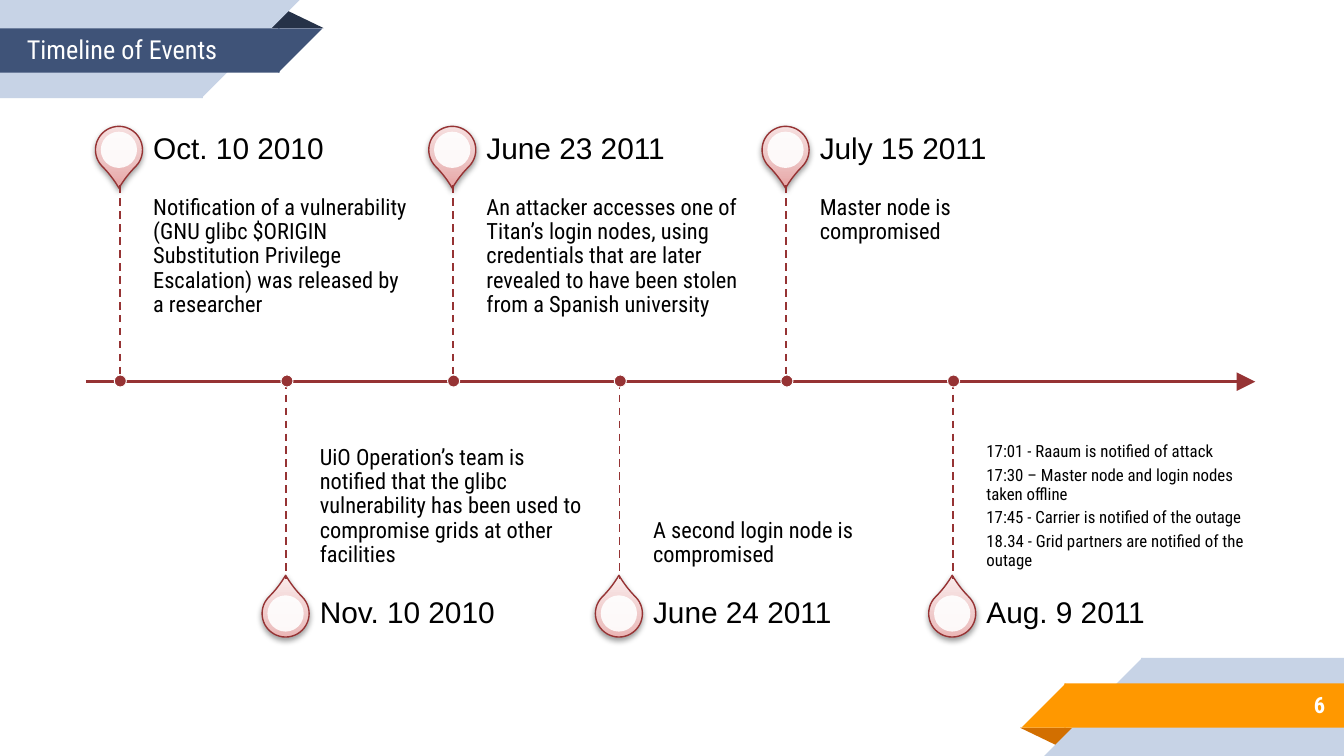
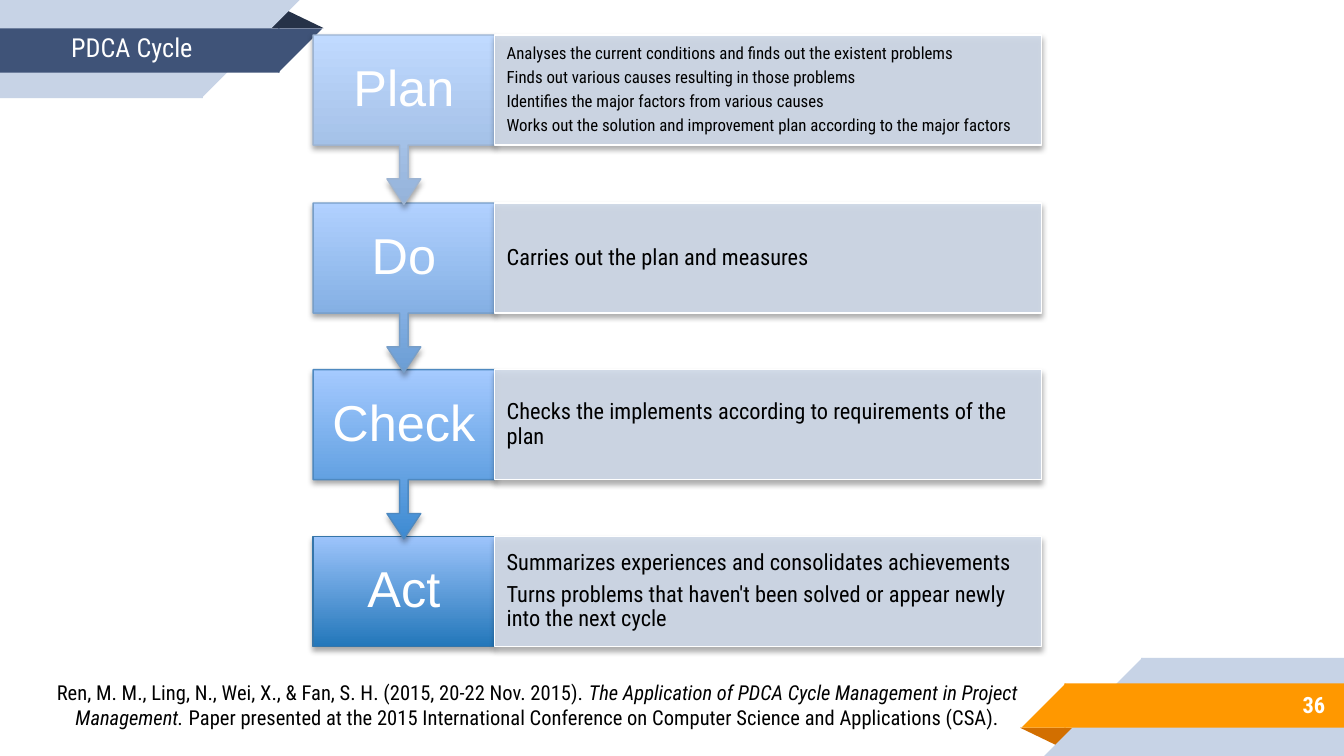
from dataclasses import dataclass
from math import ceil

from lxml.etree import SubElement
from pptx import Presentation
from pptx.dml.color import RGBColor
from pptx.enum.dml import MSO_LINE
from pptx.enum.shapes import MSO_CONNECTOR, MSO_SHAPE as SHAPE
from pptx.enum.text import MSO_ANCHOR as ANCHOR, MSO_AUTO_SIZE, PP_ALIGN as ALIGN
from pptx.oxml.ns import qn
from pptx.util import Pt

PX = 9144  # EMU in one px: 100 px to the inch
WIDTH, HEIGHT = 1000, 562.5  # 16:9


@dataclass(frozen=True)
class Theme:
    body_font: str = "Roboto Condensed"
    head_font: str = "Arial"
    white: str = "FFFFFF"
    black: str = "000000"
    pale: str = "C7D3E6"
    navy: str = "3F5378"
    navy_fold: str = "263248"
    orange: str = "FF9800"
    orange_fold: str = "D26F00"
    red: str = "963334"
    panel: str = "CED8E7"
    pin: tuple = ((0, "E8AAAA"), (35, "EDC4C4"), (100, "F9E8E8"))
    title: int = 14
    date: int = 16
    step: int = 27
    body: int = 12
    small: int = 9
    source: int = 11


T = Theme()

# Content
TIMELINE_TITLE, TIMELINE_NUMBER = "Timeline of Events", "6"
EVENTS = [
    ("Oct. 10 2010", ["Notification of a vulnerability (GNU glibc $ORIGIN Substitution "
                      "Privilege Escalation) was released by a researcher"]),
    ("Nov. 10 2010", ["UiO Operation’s team is notified that the glibc vulnerability "
                      "has been used to compromise grids at other facilities"]),
    ("June 23 2011", ["An attacker accesses one of Titan’s login nodes, using credentials "
                      "that are later revealed to have been stolen from a Spanish university"]),
    ("June 24 2011", ["A second login node is compromised"]),
    ("July 15 2011", ["Master node is compromised"]),
    ("Aug. 9 2011", ["17:01 - Raaum is notified of attack",
                     "17:30 – Master node and login nodes taken offline",
                     "17:45 - Carrier is notified of the outage",
                     "18.34 - Grid partners are notified of the outage"]),
]

PDCA_TITLE, PDCA_NUMBER = "PDCA Cycle", "36"
# name, details, bottom colour, top colour, outline
STEPS = [
    ("Plan", ["Analyses the current conditions and finds out the existent problems",
              "Finds out various causes resulting in those problems",
              "Identifies the major factors from various causes",
              "Works out the solution and improvement plan according to the major factors"],
     "95B3DA", "C0DAFF", "9DB4D2"),
    ("Do", ["Carries out the plan and measures"], "6B9DD4", "B1D1FF", "779EC8"),
    ("Check", ["Checks the implements according to requirements of the plan"],
     "3D8AD1", "A5CAFF", "4E89C0"),
    ("Act", ["Summarizes experiences and consolidates achievements",
             "Turns problems that haven't been solved or appear newly into the next cycle"],
     "2377BA", "9DC4FB", "3575A9"),
]
# text, italic
SOURCE = [
    ("Ren, M. M., Ling, N., Wei, X., & Fan, S. H. (2015, 20-22 Nov. 2015). ", False),
    ("The Application of PDCA Cycle Management in Project Management.", True),
    (" Paper presented at the 2015 International Conference on Computer Science "
     "and Applications (CSA).", False),
]

# Upper left band: shape, box, colour role, turn; the lower right band is its half turn
BAND = [
    (SHAPE.ISOSCELES_TRIANGLE, (198, 7, 43, 14), "fold", 0),
    (SHAPE.RECTANGLE, (0, 0, 151, 73), "pale", 180),
    (SHAPE.RIGHT_TRIANGLE, (150, 0, 73, 73), "pale", 180),
    (SHAPE.RECTANGLE, (0, 21, 208, 33), "main", 180),
    (SHAPE.RIGHT_TRIANGLE, (207, 21, 33, 33), "main", 180),
]


# Helpers
def emu(*lengths):
    return [int(n * PX) for n in lengths]


def rgb(color):
    return RGBColor.from_string(color)


def add_shape(shapes, kind, box, fill, line=None, weight=0.75, rotation=0, adj=(), alpha=None):
    sp = shapes.add_shape(kind, *emu(*box))
    sp.rotation = rotation
    sp.shadow.inherit = False
    for i, value in enumerate(adj):
        sp.adjustments[i] = value
    if isinstance(fill, str):
        sp.fill.solid()
        sp.fill.fore_color.rgb = rgb(fill)
        if alpha:
            color = sp.element.spPr.find(qn("a:solidFill"))[0]
            SubElement(color, qn("a:alpha"), val=str(alpha * 1000))
    else:
        fill_upward(sp, fill)
    if line:
        sp.line.color.rgb = rgb(line)
        sp.line.width = Pt(weight)
    else:
        sp.line.fill.background()
    return sp


def fill_upward(sp, stops):
    sp.fill.gradient()
    sp.fill.gradient_angle = 90
    grad = sp.element.spPr.find(qn("a:gradFill"))
    grad.set("rotWithShape", "0")
    gs_list = grad.find(qn("a:gsLst"))
    for gs in list(gs_list):
        gs_list.remove(gs)
    for pos, color in stops:
        gs = SubElement(gs_list, qn("a:gs"), pos=str(pos * 1000))
        SubElement(gs, qn("a:srgbClr"), val=color)


def add_shadow(sp, alpha, distance):
    effects = sp.element.spPr.find(qn("a:effectLst"))
    shadow = SubElement(effects, qn("a:outerShdw"), blurRad=str(Pt(3.1)), dist=str(Pt(distance)),
                        dir="5400000", algn="ctr", rotWithShape="0")
    color = SubElement(shadow, qn("a:srgbClr"), val=T.black)
    SubElement(color, qn("a:alpha"), val=str(alpha * 1000))


def add_line(slide, start, end, weight, dashed=False, arrow=False):
    cx = slide.shapes.add_connector(MSO_CONNECTOR.STRAIGHT, *emu(*start, *end))
    cx.line.color.rgb = rgb(T.red)
    cx.line.width = Pt(weight)
    if dashed:
        cx.line.dash_style = MSO_LINE.DASH
    if arrow:
        SubElement(cx.element.spPr.find(qn("a:ln")), qn("a:tailEnd"),
                   type="triangle", w="lg", len="lg")
    SubElement(cx.element.spPr, qn("a:effectLst"))


def write(sp, paragraphs, size, color=T.black, font=T.body_font, align=ALIGN.LEFT,
          anchor=ANCHOR.TOP, insets=(10, 5, 10, 5), spaced=True, bold=False, indent=0):
    """Each paragraph is a string or a list of (text, italic) runs."""
    tf = sp.text_frame
    tf.word_wrap = True
    tf.auto_size = MSO_AUTO_SIZE.NONE
    tf.vertical_anchor = anchor
    tf.margin_left, tf.margin_top, tf.margin_right, tf.margin_bottom = emu(*insets)
    for i, runs in enumerate(paragraphs):
        p = tf.paragraphs[0] if i == 0 else tf.add_paragraph()
        p.alignment = align
        if indent:
            p._p.get_or_add_pPr().set("marL", str(indent * PX))
        if spaced:
            p.line_spacing = 0.9
            p.space_after = Pt(round(size * 0.35, 1))
        p.font.name, p.font.size, p.font.bold = font, Pt(size), bold
        p.font.color.rgb = rgb(color)
        for text, italic in [(runs, False)] if isinstance(runs, str) else runs:
            r = p.add_run()
            r.text = text
            if italic:
                r.font.italic = True


def add_text(slide, box, paragraphs, size, **style):
    write(slide.shapes.add_textbox(*emu(*box)), paragraphs, size, **style)


# Shared parts
def add_bands(slide, layout):
    """Draw both corner bands and move them to the layout, behind its placeholders."""
    lower = {"pale": T.pale, "main": T.orange, "fold": T.orange_fold}
    upper = {"pale": T.pale, "main": T.navy, "fold": T.navy_fold}
    group = slide.shapes.add_group_shape()
    for colors, turned in ((lower, True), (upper, False)):
        for kind, (x, y, w, h), role, turn in BAND:
            if turned:
                x, y, turn = WIDTH - x - w, HEIGHT - y - h, (turn + 180) % 360
            fold = role == "fold"
            sp = add_shape(group.shapes, kind, (x, y, w, h), colors[role], rotation=turn,
                           adj=(0.324,) if fold else ())
            if not fold:
                sp.element.spPr.find(qn("a:xfrm")).set("flipH", "1")
    for i, props in enumerate(group.element.iter(qn("p:cNvPr")), 100):
        props.set("id", str(i))
    layout.shapes.element.insert(2, group.element)


def add_slide(prs, layout, title, title_box, number):
    slide = prs.slides.add_slide(layout)
    sp = slide.shapes.title
    sp.left, sp.top, sp.width, sp.height = emu(*title_box)
    write(sp, [title], T.title, color=T.white, spaced=False)
    add_text(slide, (833, 507, 163, 35), [number], T.body, color=T.white, bold=True,
             align=ALIGN.RIGHT, anchor=ANCHOR.MIDDLE, insets=(10, 10, 10, 10), spaced=False)
    return slide


# Timeline slide
def add_event(slide, i, date, details):
    axis, x = 284, 89 + 124 * i
    above = i % 2 == 0
    pin_y, date_y, text_y, stem_end = (94, 86, 138, 138) if above else (439, 431, 284, 431)
    pin = add_shape(slide.shapes, SHAPE.TEAR, (x - 18, pin_y, 35, 35), T.pin, line=T.red,
                    rotation=135 if above else 315, adj=(1.15,))
    add_shadow(pin, 38, 1.6)
    add_shape(slide.shapes, SHAPE.OVAL, (x - 14, pin_y + 4, 27, 27), T.white, alpha=90)
    many = len(details) > 1
    far, near = (9, 6) if many else (12, 8)
    add_text(slide, (x + 25, text_y, 200, 146), details, T.small if many else T.body,
             anchor=ANCHOR.TOP if above else ANCHOR.BOTTOM,
             insets=(0, near, 9, far) if above else (0, far, 0, near))
    add_text(slide, (x + 25, date_y, 200, 51), [date], T.date, font=T.head_font,
             anchor=ANCHOR.MIDDLE, insets=(0, 0, 11, 0))
    add_line(slide, (x, min(axis, stem_end)), (x, max(axis, stem_end)), 1, dashed=True)
    add_shape(slide.shapes, SHAPE.OVAL, (x - 4, axis - 5, 9, 9), T.red, line=T.white, weight=0.5)


def fill_timeline(slide):
    add_line(slide, (64, 284), (934, 284), 1.5, arrow=True)
    for i, (date, details) in enumerate(EVENTS):
        add_event(slide, i, date, details)


# PDCA slide
def add_step(slide, i, name, details, bottom, top, outline):
    y, h = ceil(26 + 124.3 * i), 82
    last = i == len(STEPS) - 1
    kind, height, turn, adj = ((SHAPE.RECTANGLE, h, 0, ()) if last else
                               (SHAPE.UP_ARROW_CALLOUT, 126, 180, (0.05, 0.1, 0.15, 0.65)))
    box = add_shape(slide.shapes, kind, (233, y, 135, height), ((0, bottom), (100, top)),
                    line=outline, rotation=turn, adj=adj)
    add_text(slide, (233, y, 135, h), [name], T.step, color=T.white, font=T.head_font,
             align=ALIGN.CENTER, anchor=ANCHOR.MIDDLE, insets=(10, 21, 10, 21))
    panel = add_shape(slide.shapes, SHAPE.RECTANGLE, (368, y, 407, h), T.panel,
                      line=T.white, alpha=90)
    for sp in (box, panel):
        add_shadow(sp, 35, 1.8)
    size, inset = (T.small, 12) if len(details) > 2 else (T.body, 17)
    write(panel, details, size, anchor=ANCHOR.MIDDLE, insets=(9, inset, 8, inset))


def fill_pdca(slide):
    # Last step first, so that each arrow tip lies over the next box
    for i, step in reversed(list(enumerate(STEPS))):
        add_step(slide, i, *step)
    add_text(slide, (-21, 501, 792, 47), [SOURCE], T.source, align=ALIGN.CENTER,
             spaced=False, indent=50)


def main():
    prs = Presentation()
    prs.slide_width, prs.slide_height = emu(WIDTH, HEIGHT)
    layout = prs.slide_layouts[5]
    timeline = add_slide(prs, layout, TIMELINE_TITLE, (10, 20, 225, 34), TIMELINE_NUMBER)
    add_bands(timeline, layout)
    fill_timeline(timeline)
    fill_pdca(add_slide(prs, layout, PDCA_TITLE, (43, 18, 208, 34), PDCA_NUMBER))
    prs.save("out.pptx")


if __name__ == "__main__":
    main()
